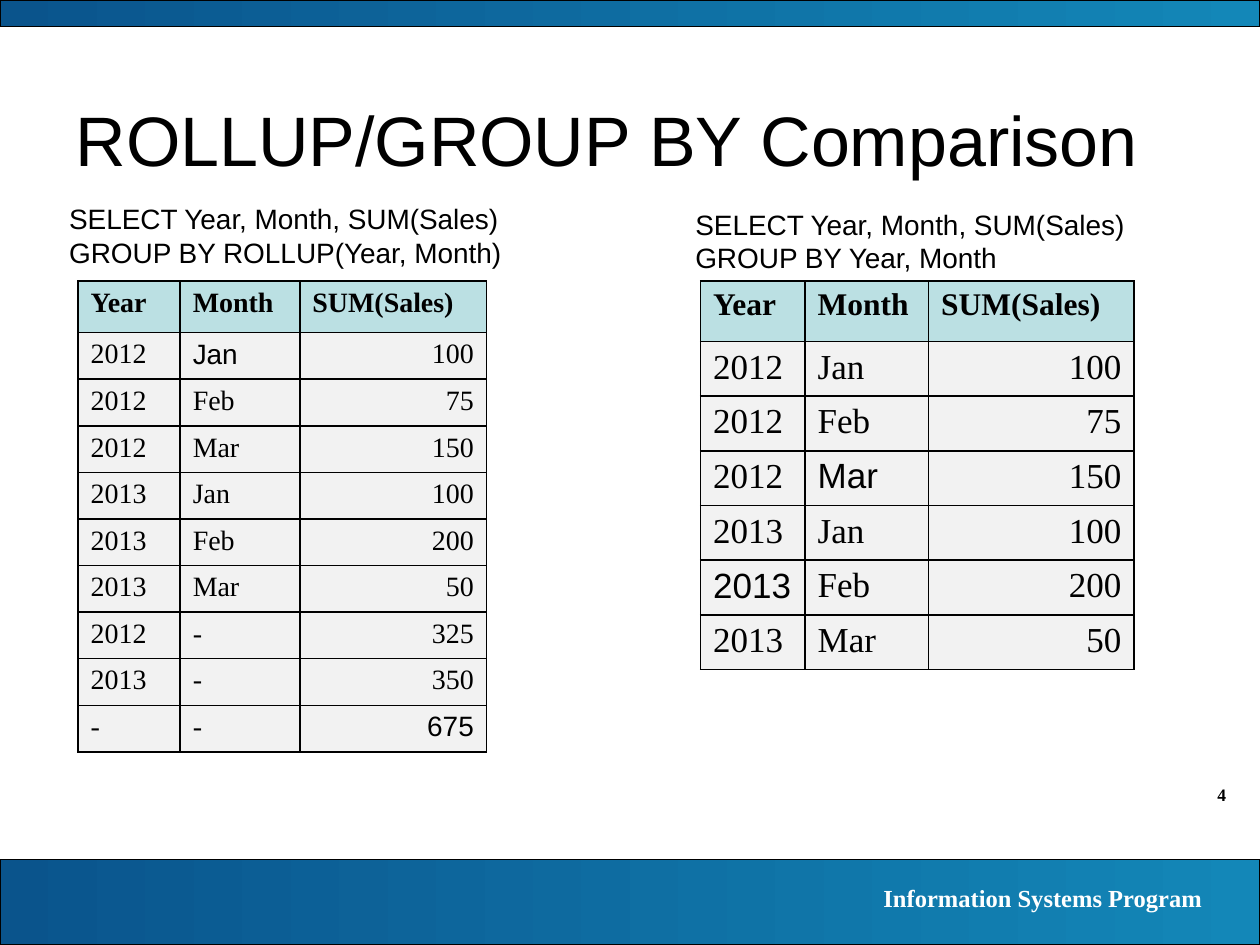
from lxml import etree
from pptx import Presentation
from pptx.dml.color import RGBColor
from pptx.enum import shapes, text
from pptx.oxml.ns import qn
from pptx.util import Inches, Pt

SERIF, SANS = "Times New Roman", "Arial"
BLACK, WHITE, HEADER_FILL, BODY_FILL = "000000", "FFFFFF", "BBE0E3", "F2F2F2"
BAND_COLOURS = ("0A548C", "1387B8")
LEFT, RIGHT = text.PP_ALIGN.LEFT, text.PP_ALIGN.RIGHT

TITLE = "ROLLUP/GROUP BY Comparison"
HEADER = ("Year", "Month", "SUM(Sales)")
MONTHLY_SALES = [
    ("2012", "Jan", "100"),
    ("2012", "Feb", "75"),
    ("2012", "Mar", "150"),
    ("2013", "Jan", "100"),
    ("2013", "Feb", "200"),
    ("2013", "Mar", "50"),
]
SUBTOTALS = [("2012", "-", "325"), ("2013", "-", "350"), ("-", "-", "675")]

# "sans" holds the (row, column) cells set in the sans font
COMPARISONS = [
    dict(
        query=["SELECT Year, Month, SUM(Sales)", "GROUP BY Year, Month"],
        query_box=(5.42, 1.59, 3.65, 0.64), wrap=False,
        rows=MONTHLY_SALES, left=5.56, columns=(0.83, 0.98, 1.63),
        header_height=0.48, row_height=0.43, header_size=18, body_size=20,
        sans={(3, 1), (5, 0)},
    ),
    dict(
        query=["SELECT Year, Month, SUM(Sales)", "GROUP BY ROLLUP(Year, Month)"],
        query_box=(0.45, 1.55, 4.39, 0.64), wrap=True,
        rows=MONTHLY_SALES + SUBTOTALS, left=0.62, columns=(0.81, 0.95, 1.48),
        header_height=0.41, row_height=0.37, header_size=16, body_size=16,
        sans={(1, 1), (9, 2)},
    ),
]
TABLE_TOP = 2.23
BANDS = [(0, 6.82, 10, 0.68), (0, 0, 10, 0.21)]
LABELS = [
    ("4", (9, 6.17, 0.83, 0.27), 10, BLACK),
    ("Information Systems Program", (5.55, 6.96, 4.09, 0.34), 14, WHITE),
]


def colour(value):
    return RGBColor.from_string(value)


def inches(box):
    return [Inches(length) for length in box]


def write(frame, lines, size, font, hex_colour=BLACK, bold=False, align=LEFT):
    frame.text = "\n".join(lines)
    for paragraph in frame.paragraphs:
        paragraph.alignment = align
        paragraph.font.size = Pt(size)
        paragraph.font.name = font
        paragraph.font.bold = bold
        paragraph.font.color.rgb = colour(hex_colour)


def add_band(slide, box):
    band = slide.shapes.add_shape(shapes.MSO_SHAPE.RECTANGLE, *inches(box))
    band.shadow.inherit = False
    band.fill.gradient()
    band.fill.gradient_angle = 0
    for stop, value in zip(band.fill.gradient_stops, BAND_COLOURS):
        stop.color.rgb = colour(value)
    band.line.color.rgb = colour(BLACK)
    band.line.width = Pt(0.75)


def add_borders(cell):
    """Draw a 1 pt black line on each side of the cell."""
    properties = cell._tc.get_or_add_tcPr()
    for index, side in enumerate(("a:lnL", "a:lnR", "a:lnT", "a:lnB")):
        line = etree.Element(qn(side), w=str(Pt(1)))
        fill = etree.SubElement(line, qn("a:solidFill"))
        etree.SubElement(fill, qn("a:srgbClr"), val=BLACK)
        properties.insert(index, line)


def add_query(slide, comparison):
    box = slide.shapes.add_textbox(*inches(comparison["query_box"]))
    box.fill.solid()
    box.fill.fore_color.rgb = colour(WHITE)
    frame = box.text_frame
    frame.word_wrap = comparison["wrap"]
    frame.vertical_anchor = text.MSO_ANCHOR.MIDDLE
    write(frame, comparison["query"], 16, SANS)


def add_sales_table(slide, comparison):
    rows = [HEADER] + comparison["rows"]
    widths = comparison["columns"]
    heights = [comparison["header_height"]]
    heights += [comparison["row_height"]] * len(comparison["rows"])
    box = (comparison["left"], TABLE_TOP, sum(widths), sum(heights))
    table = slide.shapes.add_table(len(rows), len(widths), *inches(box)).table
    for column, width in zip(table.columns, widths):
        column.width = Inches(width)
    for row, height in zip(table.rows, heights):
        row.height = Inches(height)

    for r, values in enumerate(rows):
        is_header = r == 0
        for c, value in enumerate(values):
            cell = table.cell(r, c)
            cell.fill.solid()
            cell.fill.fore_color.rgb = colour(HEADER_FILL if is_header else BODY_FILL)
            write(
                cell.text_frame, [value],
                comparison["header_size" if is_header else "body_size"],
                SANS if (r, c) in comparison["sans"] else SERIF,
                bold=is_header,
                align=RIGHT if c == 2 and not is_header else LEFT,
            )
            add_borders(cell)


def main():
    presentation = Presentation()
    presentation.slide_width, presentation.slide_height = Inches(10), Inches(7.5)
    slide = presentation.slides.add_slide(presentation.slide_layouts[5])

    for box in BANDS:
        add_band(slide, box)
    for label, box, size, hex_colour in LABELS:
        frame = slide.shapes.add_textbox(*inches(box)).text_frame
        frame.word_wrap = True
        write(frame, [label], size, SERIF, hex_colour, bold=True, align=RIGHT)

    title = slide.shapes.title
    title.left, title.top, title.width, title.height = inches((0.5, 0.61, 8.75, 0.87))
    title.text_frame.auto_size = text.MSO_AUTO_SIZE.NONE
    title.text_frame.vertical_anchor = text.MSO_ANCHOR.BOTTOM
    write(title.text_frame, [TITLE], 40, SANS)

    for comparison in COMPARISONS:
        add_query(slide, comparison)
        add_sales_table(slide, comparison)
    presentation.save("out.pptx")


if __name__ == "__main__":
    main()
